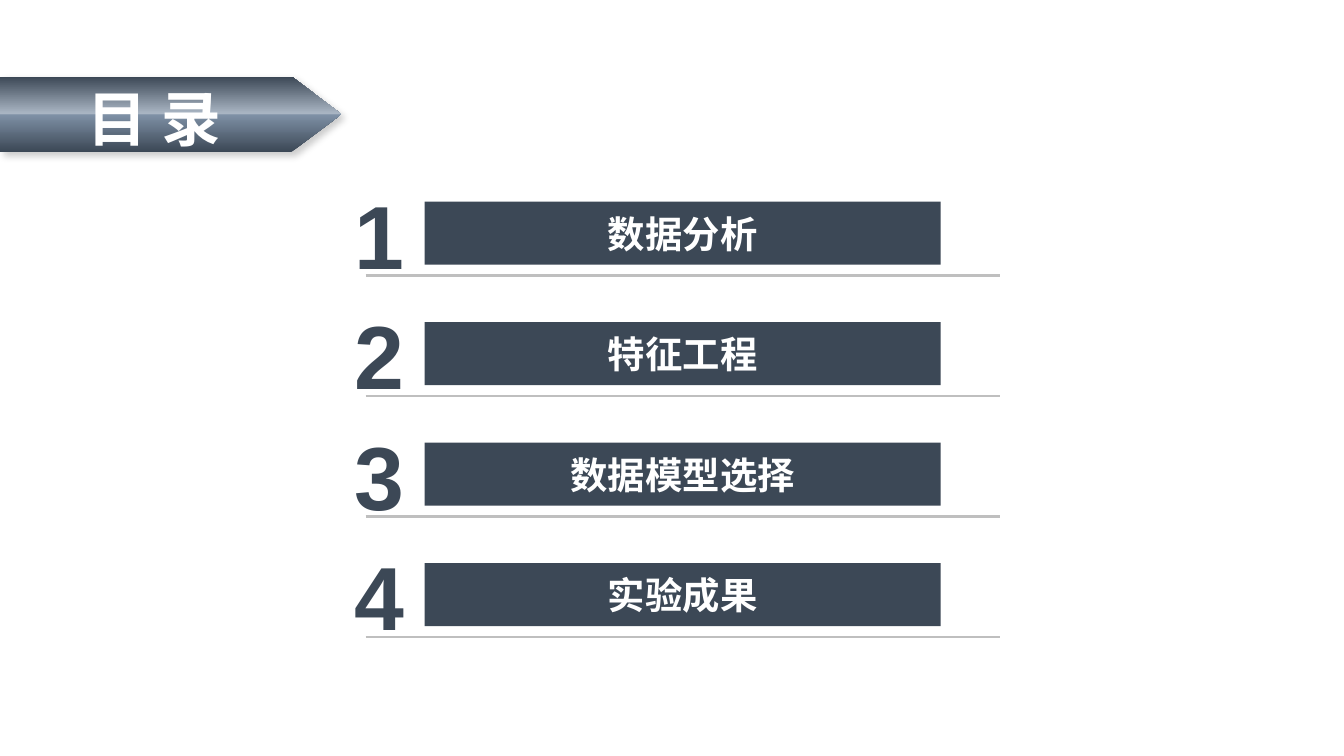
from lxml.etree import SubElement
from pptx import Presentation
from pptx.dml.color import RGBColor
from pptx.enum.shapes import MSO_CONNECTOR, MSO_SHAPE
from pptx.enum.text import MSO_ANCHOR, MSO_AUTO_SIZE, PP_ALIGN
from pptx.oxml.ns import qn
from pptx.util import Inches, Pt

DARK, WHITE, GREY = "3C4856", "FFFFFF", "BFBFBF"
CJK = "Noto Sans CJK SC"
TOPICS = ["数据分析", "特征工程", "数据模型选择", "实验成果"]
TOP, LAST = 1.5, 4.19
PITCH = (LAST - TOP) / (len(TOPICS) - 1)
BAR_X, BAR_W, BAR_H = 3.16, 3.84, 0.47


def rgb(value):
    return RGBColor.from_string(value)


def write(s, text, size, font, color, align):
    tf = s.text_frame
    tf.vertical_anchor = MSO_ANCHOR.MIDDLE
    p = tf.paragraphs[0]
    p.alignment = align
    r = p.add_run()
    r.text = text
    for name, value in {"size": Pt(size), "bold": True, "name": font}.items():
        setattr(r.font, name, value)
    r.font.color.rgb = rgb(color)
    SubElement(r.font._element, qn("a:ea"), typeface=font)
    return tf


prs = Presentation()
prs.slide_width = Inches(10)
prs.slide_height = prs.slide_width * 9 // 16
slide = prs.slides.add_slide(prs.slide_layouts[6])
sp = slide.shapes

# Contents rows: number, bar, rule
for i, topic in enumerate(TOPICS):
    y = TOP + i * PITCH

    s = sp.add_textbox(Inches(2.54), Inches(y - 0.22), Inches(0.58), Inches(0.91))
    tf = write(s, str(i + 1), 48, "Arial", DARK, PP_ALIGN.LEFT)
    tf.word_wrap = False
    tf.auto_size = MSO_AUTO_SIZE.SHAPE_TO_FIT_TEXT

    s = sp.add_shape(MSO_SHAPE.RECTANGLE, Inches(BAR_X), Inches(y), Inches(BAR_W), Inches(BAR_H))
    s.shadow.inherit = False
    s.fill.solid()
    s.fill.fore_color.rgb = rgb(DARK)
    s.line.fill.background()
    write(s, topic, 20, CJK, WHITE, PP_ALIGN.CENTER)

    rule_y = Inches(y + 0.55)
    s = sp.add_connector(MSO_CONNECTOR.STRAIGHT, Inches(2.72), rule_y, Inches(7.44), rule_y)
    s.line.color.rgb = rgb(GREY)
    s.line.width = Pt(1.5)
    SubElement(s._element.spPr, qn("a:effectLst"))

# Title arrow, shaded from bottom to top
fb = sp.build_freeform(0, Inches(0.57))
fb.add_line_segments([(Inches(x), Inches(y)) for x, y in
                      [(2.17, 0.57), (2.54, 0.85), (2.17, 1.13), (0, 1.13)]], close=True)
s = fb.convert_to_shape()
s.line.fill.background()
s.fill.gradient()
s.fill.gradient_angle = 90
stops = s._element.spPr.find(qn("a:gradFill")).find(qn("a:gsLst"))
for stop in list(stops):
    stops.remove(stop)
for pos, color in [(0, DARK), (49, "7E90A5"), (51, "A9B5C3"), (100, DARK)]:
    stop = SubElement(stops, qn("a:gs"), pos=str(pos * 1000))
    SubElement(stop, qn("a:srgbClr"), val=color)

s.shadow.inherit = False
shadow = SubElement(s._element.spPr.find(qn("a:effectLst")), qn("a:outerShdw"),
                    blurRad=str(Pt(4)), dist=str(Pt(3)), dir=str(45 * 60000),
                    algn="tl", rotWithShape="0")
tone = SubElement(shadow, qn("a:srgbClr"), val="000000")
SubElement(tone, qn("a:alpha"), val="20000")

tf = write(s, "目 录", 32, CJK, WHITE, PP_ALIGN.CENTER)
for side, inset in {"left": 0, "top": 0.05, "right": 0.24, "bottom": 0}.items():
    setattr(tf, f"margin_{side}", Inches(inset))

prs.save("out.pptx")
